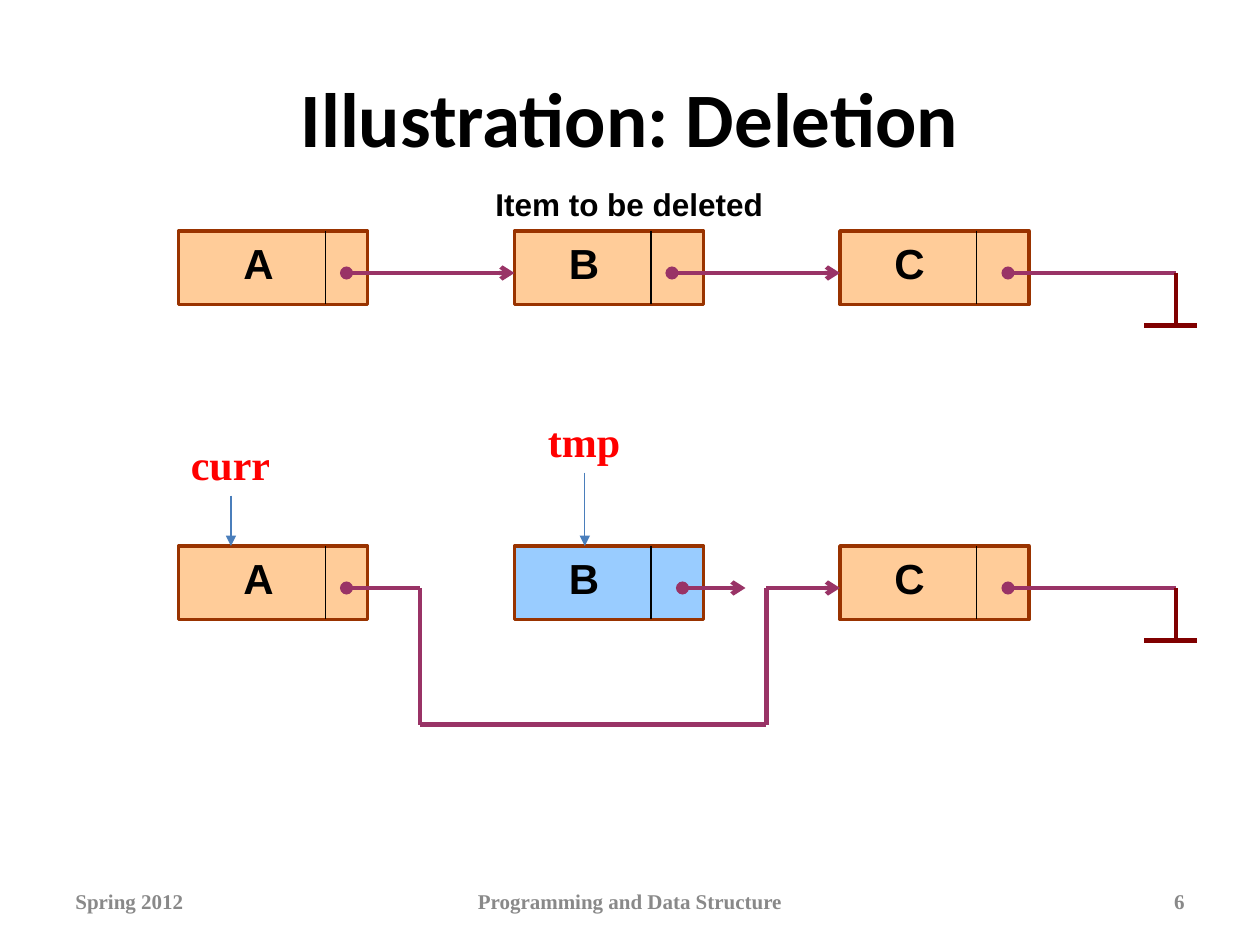
import pptx
import pptx.util
import pptx.dml.color
import pptx.enum.shapes
import pptx.enum.text
import pptx.oxml
import pptx.oxml.ns

WIDE, HIGH = 10, 7.5
COLS, ROWS = 120, 90
CELLS = {"A": (17, 31, 22), "B": (49, 62, 53), "C": (80, 93, 84)}
HUES = {
    "ink": "000000",
    "grey": "898989",
    "red": "FF0000",
    "peach": "FFCC99",
    "sky": "99CCFF",
    "rust": "993300",
    "plum": "993366",
    "wine": "800000",
    "blue": "4A7EBB",
}
ALIGN = pptx.enum.text.PP_ALIGN


def hue(name):
    return pptx.dml.color.RGBColor.from_string(HUES[name])


def col(num):
    return pptx.util.Inches(WIDE * num / COLS)


def row(num):
    return pptx.util.Inches(HIGH * num / ROWS)


def add_text(slide, area, words, size, font, tint="ink", align=ALIGN.LEFT,
             mid=False, wrap=True):
    left, top, wide, high = area
    box = slide.shapes.add_textbox(col(left), row(top), col(wide), row(high))
    frame = box.text_frame
    frame.word_wrap = wrap
    if not wrap:
        frame.auto_size = pptx.enum.text.MSO_AUTO_SIZE.SHAPE_TO_FIT_TEXT
    anchor = pptx.enum.text.MSO_ANCHOR
    frame.vertical_anchor = anchor.MIDDLE if mid else anchor.TOP
    para = frame.paragraphs[0]
    para.alignment = align
    run = para.add_run()
    run.text = words
    run.font.size = pptx.util.Pt(size)
    run.font.name = font
    run.font.bold = True
    run.font.color.rgb = hue(tint)


def add_line(slide, start, end, tint="plum", width=2.5, head=None, tail=None):
    kind = pptx.enum.shapes.MSO_CONNECTOR.STRAIGHT
    line = slide.shapes.add_connector(
        kind, col(start[0]), row(start[1]), col(end[0]), row(end[1]))
    line.line.color.rgb = hue(tint)
    line.line.width = pptx.util.Pt(width)
    make = pptx.oxml.ns.qn
    stroke = line.line._get_or_add_ln()
    for tag, tip in (("a:headEnd", head), ("a:tailEnd", tail)):
        if tip:
            stroke.append(stroke.makeelement(make(tag), {"type": tip}))
    props = line._element.spPr
    props.append(props.makeelement(make("a:effectLst"), {}))


def add_path(slide, points, head=None, tail=None):
    last = len(points) - 2
    for num, (start, end) in enumerate(zip(points, points[1:])):
        add_line(slide, start, end, head=head if num == 0 else None,
                 tail=tail if num == last else None)


def add_node(slide, name, top, fill="peach"):
    left, split, label = CELLS[name]
    kind = pptx.enum.shapes.MSO_SHAPE.RECTANGLE
    node = slide.shapes.add_shape(kind, col(left), row(top), col(18), row(7))
    node.shadow.inherit = False
    node.fill.solid()
    node.fill.fore_color.rgb = hue(fill)
    node.line.color.rgb = hue("rust")
    node.line.width = pptx.util.Pt(2)
    add_line(slide, (split, top), (split, top + 7), "ink", 0.75)
    add_text(slide, (label, top, 8, 6), name, 24, "Arial")


def add_end(slide, top):
    add_path(slide, [(96, top + 4), (112, top + 4)], head="oval")
    add_line(slide, (112, top + 4), (112, top + 9), "wine")
    add_line(slide, (109, top + 9), (114, top + 9), "wine")


def add_list(slide, top, fills):
    for name in CELLS:
        add_node(slide, name, top, fills.get(name, "peach"))
    add_end(slide, top)


def add_mark(slide, words, left, top, wide, goal):
    add_text(slide, (left, top, wide, 6), words, 24, "Times New Roman",
             "red", wrap=False)
    mid = left + wide / 2
    add_line(slide, (mid, top + 6), (mid, goal), "blue", 0.75, tail="triangle")


def add_foot(slide):
    parts = [
        (6, 28, "Spring 2012", ALIGN.LEFT),
        (41, 38, "Programming and Data Structure", ALIGN.CENTER),
        (86, 28, "6", ALIGN.RIGHT),
    ]
    for left, wide, words, align in parts:
        add_text(slide, (left, 83.4, wide, 4.8), words, 12,
                 "Times New Roman", "grey", align, mid=True)


def main():
    deck = pptx.Presentation()
    deck.slide_width = pptx.util.Inches(WIDE)
    deck.slide_height = pptx.util.Inches(HIGH)
    slide = deck.slides.add_slide(deck.slide_layouts[6])

    add_text(slide, (6, 3.6, 108, 15), "Illustration: Deletion", 44,
             "Calibri", align=ALIGN.CENTER, mid=True)
    add_foot(slide)
    add_text(slide, (46, 17, 33, 4.8), "Item to be deleted", 18, "Arial")

    add_list(slide, 22, {})
    for start, end in ((33, 49), (64, 80)):
        add_path(slide, [(start, 26), (end, 26)], "oval", "arrow")

    add_list(slide, 52, {"B": "sky"})
    add_path(slide, [(65, 56), (71, 56)], "oval", "arrow")
    detour = [(33, 56), (40, 56), (40, 69), (73, 69), (73, 56), (80, 56)]
    add_path(slide, detour, "oval", "arrow")
    add_mark(slide, "curr", 17, 41.2, 10, 52)
    add_mark(slide, "tmp", 51, 39, 9.4, 52)
    deck.save("out.pptx")


if __name__ == "__main__":
    main()
